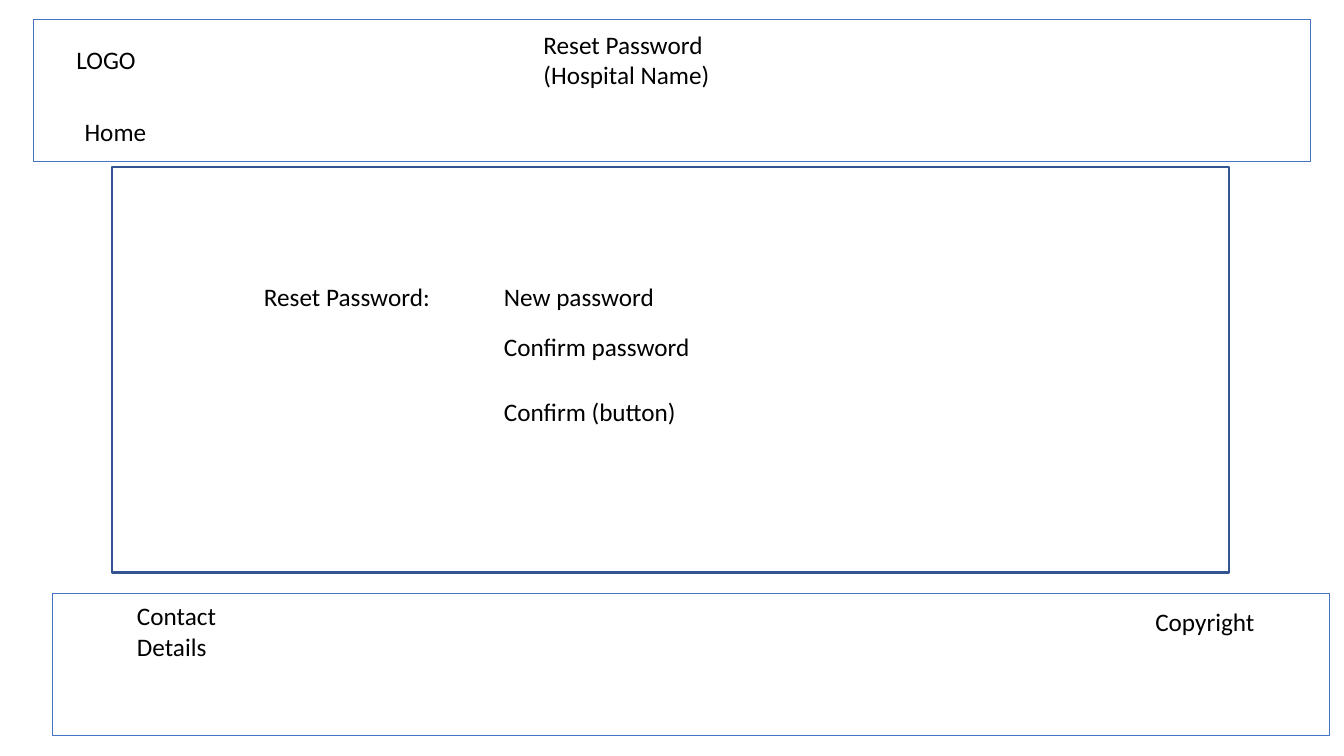
from pptx import Presentation
from pptx import util as u
from pptx.dml.color import RGBColor
from pptx.enum import shapes, text

SIZE = (13.33, 7.5)
TITLE = ("Reset Password\n(Hospital Name)", (5.29, 0.24, 2.63, 0.71))
FORM_X, FORM_Y, FORM_W = 4.9, 2.74, 2.37
ROW = 0.4

# left, top, width, height, line colour, line width
FRAMES = [
    (0.33, 0.19, 12.67, 1.41, "4472C4", 0.75),
    (0.52, 5.89, 12.67, 1.41, "4472C4", 0.75),
    (1.11, 1.66, 11.08, 4.02, "325491", 1.5),
]
# text, left, top, width, height
LABELS = [
    ("LOGO", 0.66, 0.39, 1.86, ROW),
    ("Home", 0.74, 1.1, 1.39, ROW),
    ("Reset Password:", 2.52, FORM_Y, FORM_W, ROW),
    ("New password", FORM_X, FORM_Y, FORM_W, ROW),
    ("Confirm password", FORM_X, FORM_Y + 0.5, FORM_W, ROW),
    ("Confirm (button)", FORM_X, FORM_Y + 1.14, FORM_W, ROW),
    ("Contact Details", 1.26, 5.91, 1.39, 0.71),
    ("Copyright", 11.36, 5.97, 1.39, ROW),
]
FONT = {"name": "Calibri", "size": u.Pt(18), "bold": False}
FRAME = {"word_wrap": True, "auto_size": text.MSO_AUTO_SIZE.NONE,
         "vertical_anchor": text.MSO_ANCHOR.TOP}


def color(code):
    return RGBColor.from_string(code)


def inches(box):
    return [u.Inches(n) for n in box]


def assign(item, values):
    for name, value in values.items():
        setattr(item, name, value)


def write(shape, words):
    frame = shape.text_frame
    frame.text = words
    assign(frame, FRAME)
    for para in frame.paragraphs:
        assign(para, {"alignment": text.PP_ALIGN.LEFT, "space_before": u.Pt(0)})
        for run in para.runs:
            assign(run.font, FONT)
            run.font.color.rgb = color("000000")


deck = Presentation()
deck.slide_width, deck.slide_height = inches(SIZE)
slide = deck.slides.add_slide(deck.slide_layouts.get_by_name("Title Only"))

for *box, line, width in FRAMES:
    rect = slide.shapes.add_shape(shapes.MSO_SHAPE.RECTANGLE, *inches(box))
    rect.shadow.inherit = False
    rect.fill.background()
    rect.line.color.rgb = color(line)
    rect.line.width = u.Pt(width)

title = slide.shapes.title
assign(title, dict(zip(("left", "top", "width", "height"), inches(TITLE[1]))))
write(title, TITLE[0])

for words, *box in LABELS:
    write(slide.shapes.add_textbox(*inches(box)), words)

deck.save("out.pptx")
